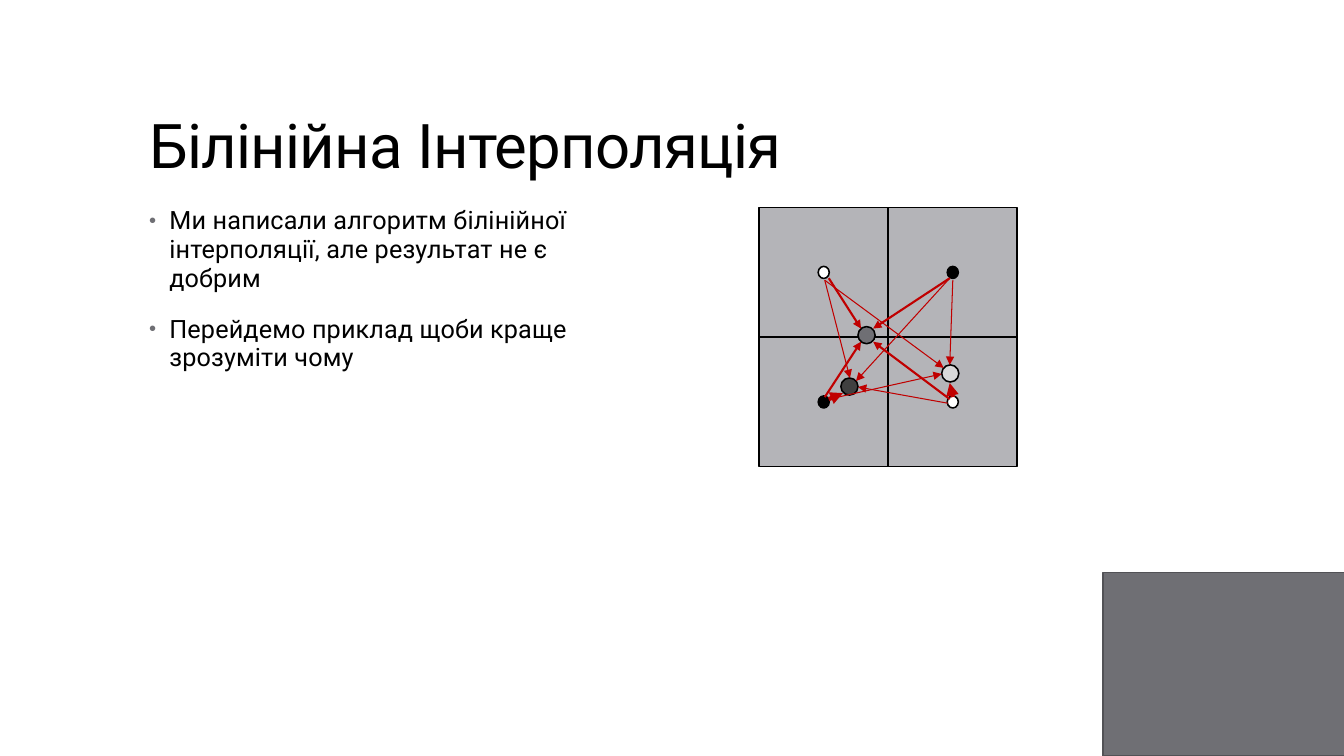
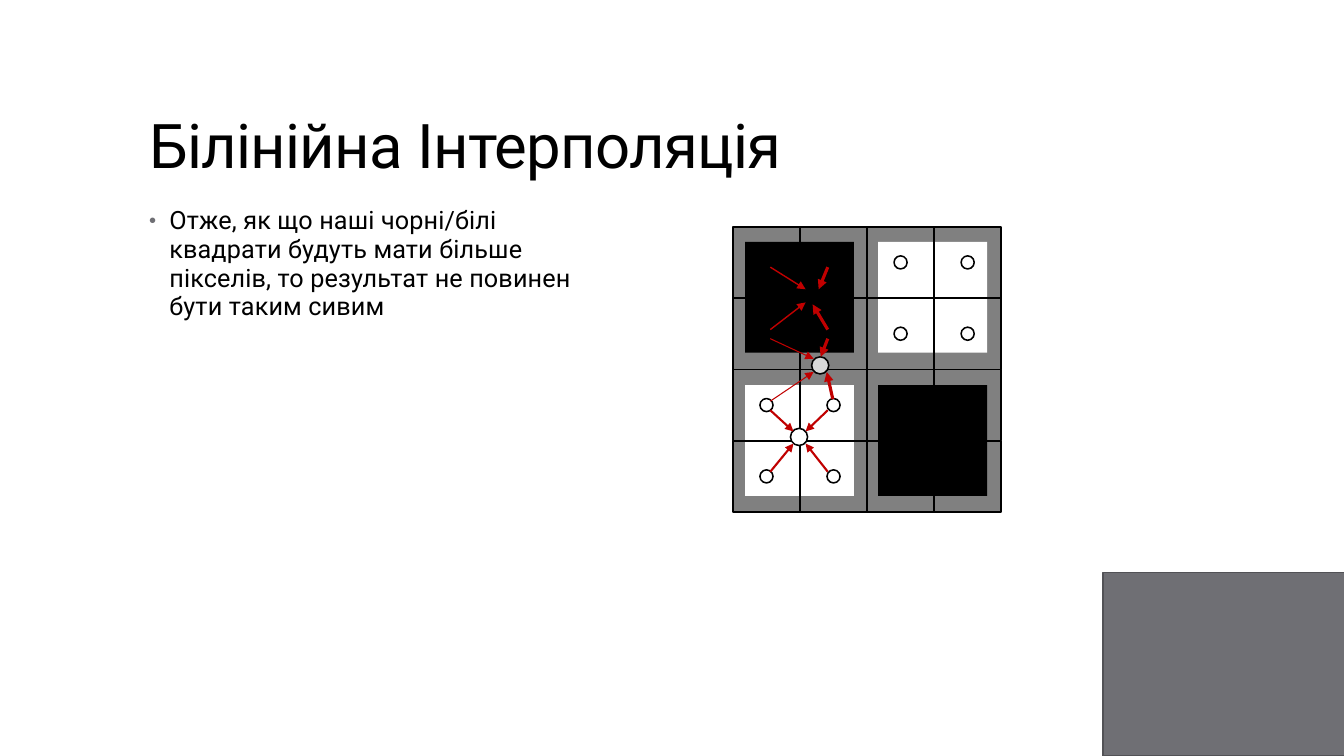
"""Build two slides that explain bilinear interpolation with pixel grids."""
import itertools

import lxml.etree
import pptx
import pptx.dml.color
import pptx.enum.shapes
import pptx.enum.text
import pptx.oxml.ns
import pptx.util

Inches = pptx.util.Inches
Pt = pptx.util.Pt
SHAPES = pptx.enum.shapes.MSO_SHAPE

FONT = "Roboto"
BLACK, WHITE = "000000", "FFFFFF"
ACCENT, ACCENT_EDGE = "6F6F74", "525256"
ARROW = "C00000"
OUTLINE = 1.1
SAMPLE_SIZE = 0.17

TITLE = "Білінійна Інтерполяція"
TITLE_BOX = (1.38, 0.4, 10.6, 1.45)
BODY_BOX = (1.38, 2, 4.77, 4.76)
BAND_BOX = (10.94, 5.68, 2.4, 1.82)

SLIDES = [
    {
        "bullets": [
            "Ми написали алгоритм білінійної інтерполяції, але результат не є добрим",
            "Перейдемо приклад щоби краще зрозуміти чому",
        ],
        "grid": {"box": (7.53, 2.06, 2.56, 2.57), "fill": "B4B4B8",
                 "cells": 2, "dot": (0.11, 0.12), "patch": None},
        "samples": [
            {"at": (8.51, 3.24), "fill": ACCENT, "arrows": [
                (9.42, 2.76, 8.66, 3.26, 1.5),
                (9.42, 3.96, 8.66, 3.39, 1.5),
                (8.18, 3.94, 8.54, 3.39, 1.5),
                (8.22, 2.76, 8.54, 3.26, 1.5)]},
            {"at": (8.34, 3.75), "fill": "404040", "arrows": [
                (8.22, 3.96, 8.36, 3.9, 3),
                (9.42, 2.76, 8.49, 3.78, 0.75),
                (9.4, 4, 8.51, 3.84, 0.75),
                (8.18, 2.78, 8.43, 3.75, 0.75)]},
            {"at": (9.34, 3.62), "fill": "D9D9D9", "arrows": [
                (9.45, 2.78, 9.42, 3.62, 0.75),
                (9.45, 3.94, 9.42, 3.8, 3),
                (8.22, 3.96, 9.34, 3.71, 0.75),
                (8.18, 2.78, 9.36, 3.65, 0.75)]},
        ],
    },
    {
        "bullets": [
            "Oтже, як що наші чорні/білі квадрати будуть мати більше пікселів, "
            "то результат не повинен бути таким сивим",
        ],
        "grid": {"box": (7.27, 2.25, 2.66, 2.83), "fill": "808080",
                 "cells": 4, "dot": (0.13, 0.13), "patch": (1.08, 1.1)},
        "samples": [
            {"at": (7.97, 2.85), "fill": BLACK, "arrows": [
                (8.21, 2.65, 8.12, 2.87, 2.25),
                (8.21, 3.27, 8.06, 3.02, 2.25),
                (7.64, 3.27, 7.99, 3, 1),
                (7.64, 2.65, 7.99, 2.87, 1)]},
            {"at": (7.84, 4.25), "fill": WHITE, "arrows": [
                (7.64, 4.68, 7.87, 4.4, 1.5),
                (8.21, 4.68, 7.99, 4.4, 1.5),
                (8.21, 4.07, 7.99, 4.28, 1.5),
                (7.64, 4.07, 7.87, 4.28, 1.5)]},
            {"at": (8.05, 3.54), "fill": "D9D9D9", "arrows": [
                (7.64, 3.36, 8.07, 3.56, 0.75),
                (7.64, 3.98, 8.07, 3.69, 0.75),
                (8.26, 3.96, 8.2, 3.69, 2.25),
                (8.21, 3.36, 8.14, 3.54, 2.25)]},
        ],
    },
]


def color(value):
    return pptx.dml.color.RGBColor.from_string(value)


def add_child(parent, tag, **attributes):
    child = lxml.etree.SubElement(parent, pptx.oxml.ns.qn(tag))
    for name, value in attributes.items():
        child.set(name, value)
    return child


def place(box, area):
    box.left, box.top, box.width, box.height = map(Inches, area)


def add_box(slide, kind, area, fill=None, edge=None):
    box = slide.shapes.add_shape(kind, *map(Inches, area))
    box.shadow.inherit = False
    if fill:
        box.fill.solid()
        box.fill.fore_color.rgb = color(fill)
    else:
        box.fill.background()
    if edge:
        box.line.color.rgb = color(edge)
        box.line.width = Pt(OUTLINE)
    else:
        box.line.fill.background()
    return box


def add_arrow(slide, left, top, right, bottom, weight):
    arrow = slide.shapes.add_connector(
        pptx.enum.shapes.MSO_CONNECTOR.STRAIGHT, *map(Inches, (left, top, right, bottom)))
    arrow.line.color.rgb = color(ARROW)
    arrow.line.width = Pt(weight)
    add_child(arrow.line._get_or_add_ln(), "a:tailEnd", type="triangle")
    add_child(arrow.element.spPr, "a:effectLst")


def add_span(para, text, size, spacing):
    span = para.add_run()
    span.text = text
    span.font.name = FONT
    span.font.size = Pt(size)
    span.font.color.rgb = color(BLACK)
    span._r.get_or_add_rPr().set("spc", str(spacing))


def add_bullet(para):
    properties = para._p.get_or_add_pPr()
    properties.set("marL", str(Inches(0.2)))
    properties.set("indent", str(Inches(-0.2)))
    add_child(add_child(properties, "a:buClr"), "a:srgbClr", val=ACCENT)
    add_child(properties, "a:buSzPct", val="80000")
    add_child(properties, "a:buFont", typeface="Arial")
    add_child(properties, "a:buChar", char="•")


def fill_text(slide, bullets):
    title, body = slide.placeholders
    for box, anchor in ((title, "BOTTOM"), (body, "TOP")):
        box.text_frame.word_wrap = True
        box.text_frame.auto_size = pptx.enum.text.MSO_AUTO_SIZE.NONE
        box.text_frame.vertical_anchor = pptx.enum.text.MSO_ANCHOR[anchor]
    para = title.text_frame.paragraphs[0]
    para.alignment = pptx.enum.text.PP_ALIGN.LEFT
    para.line_spacing = 0.9
    add_span(para, TITLE, 44, -50)
    for index, text in enumerate(bullets):
        para = body.text_frame.add_paragraph() if index else body.text_frame.paragraphs[0]
        add_bullet(para)
        para.line_spacing = 0.95
        para.space_before = Pt(14 if index else 0)
        para.space_after = Pt(2)
        add_span(para, text, 18, 10)


def draw_grid(slide, grid, dark_first):
    left, top, width, height = grid["box"]
    count = grid["cells"]
    add_box(slide, SHAPES.RECTANGLE, grid["box"], grid["fill"])
    if grid["patch"]:
        for row, column in itertools.product(range(2), repeat=2):
            area = (left + 0.12 + column * 1.32, top + 0.15 + row * 1.42, *grid["patch"])
            add_box(slide, SHAPES.RECTANGLE, area, BLACK if row == column else WHITE)
    cell_width, cell_height = width / count, height / count
    dot_width, dot_height = grid["dot"]
    for row, column in itertools.product(range(count), repeat=2):
        x, y = left + column * cell_width, top + row * cell_height
        same = row * 2 // count == column * 2 // count
        add_box(slide, SHAPES.RECTANGLE, (x, y, cell_width, cell_height), edge=BLACK)
        add_box(slide, SHAPES.OVAL,
                (x + (cell_width - dot_width) / 2, y + (cell_height - dot_height) / 2,
                 dot_width, dot_height),
                BLACK if same == dark_first else WHITE, BLACK)


def draw_samples(slide, samples):
    for sample in samples:
        area = (*sample["at"], SAMPLE_SIZE, SAMPLE_SIZE)
        add_box(slide, SHAPES.OVAL, area, sample["fill"], BLACK)
    for sample in samples:
        for arrow in sample["arrows"]:
            add_arrow(slide, *arrow)


def prepare_layout(deck):
    layout = deck.slide_layouts[1]
    title, body = list(layout.placeholders)[:2]
    place(title, TITLE_BOX)
    place(body, BODY_BOX)
    return layout


def main():
    deck = pptx.Presentation()
    deck.slide_width, deck.slide_height = Inches(13.33), Inches(7.5)
    layout = prepare_layout(deck)
    for index, content in enumerate(SLIDES):
        slide = deck.slides.add_slide(layout)
        if index == 0:
            band = add_box(slide, SHAPES.RECTANGLE, BAND_BOX, ACCENT, ACCENT_EDGE)
            layout.shapes.element.append(band.element)
        fill_text(slide, content["bullets"])
        grid = content["grid"]
        draw_grid(slide, grid, dark_first=grid["patch"] is not None)
        draw_samples(slide, content["samples"])
    deck.save("out.pptx")


if __name__ == "__main__":
    main()
